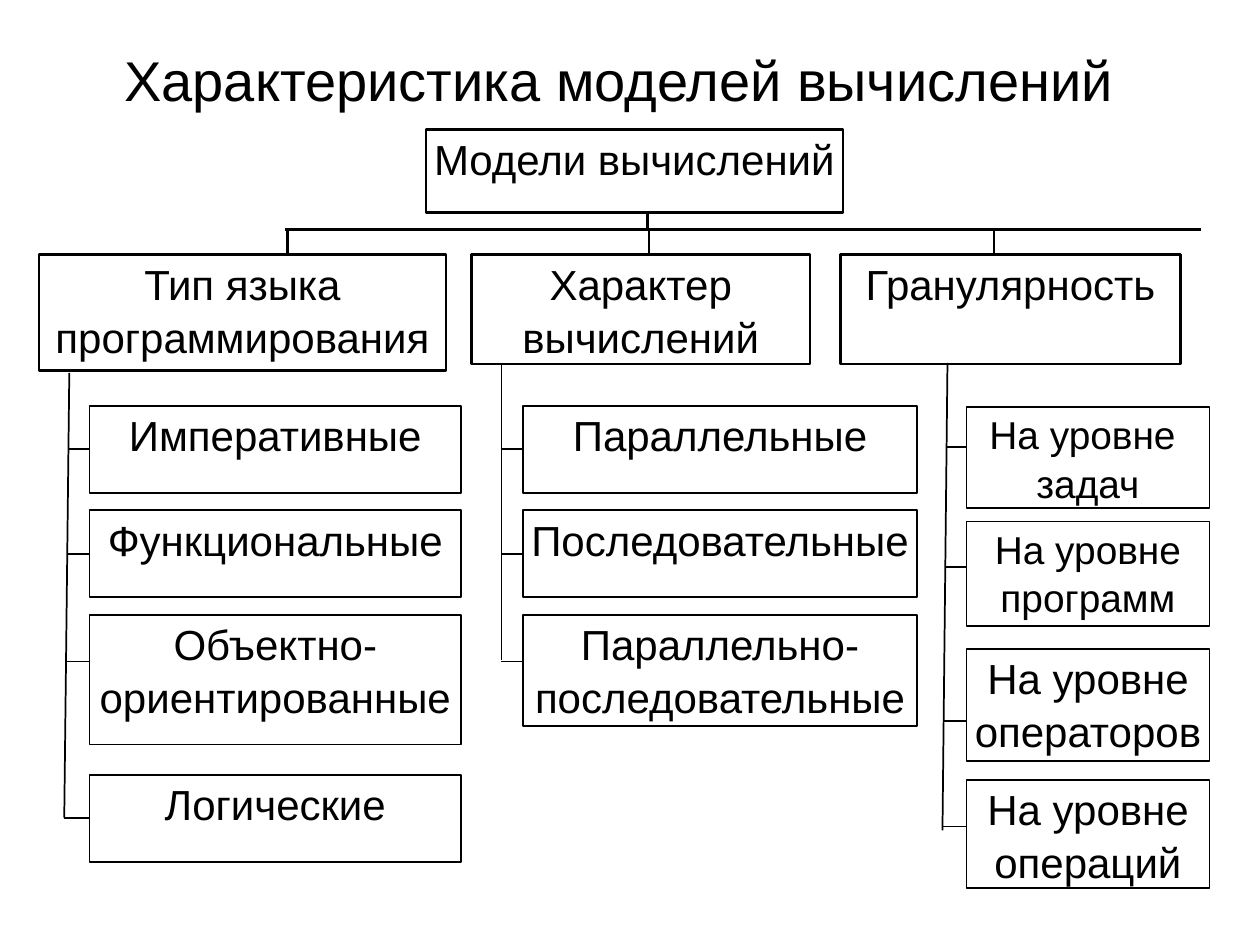
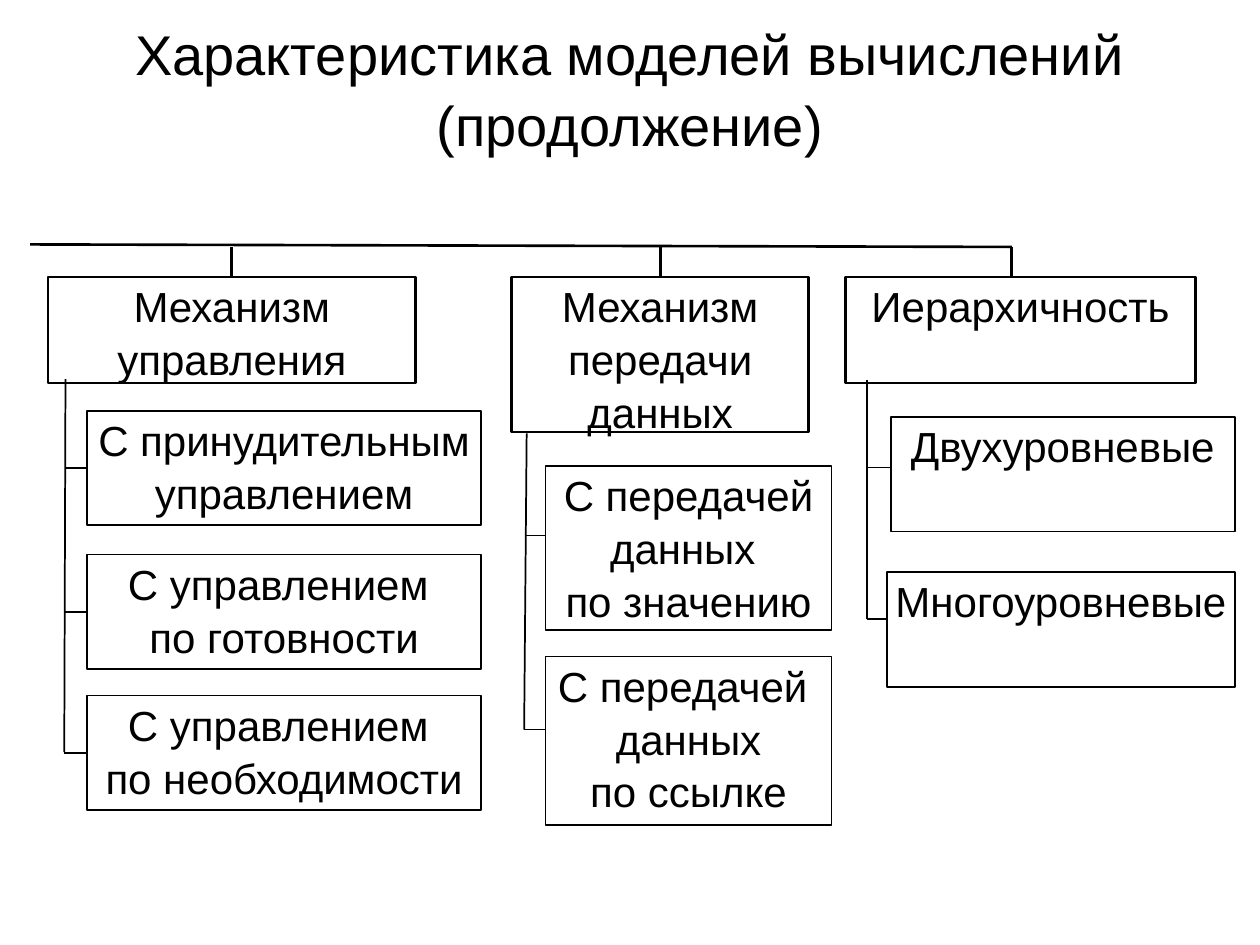
from typing import NamedTuple, Optional

from lxml.etree import SubElement
from pptx import Presentation
from pptx.dml.color import RGBColor
from pptx.enum.shapes import MSO_CONNECTOR as Connector, MSO_SHAPE as Shape
from pptx.enum.text import MSO_ANCHOR as Anchor, PP_ALIGN as Align
from pptx.oxml.ns import qn
from pptx.util import Inches, Pt

COLORS = {"ink": "000000", "paper": "FFFFFF"}
FONT = "Arial"
COLUMNS, ROWS = 100, 75
TOP, LEFT = 0, 1  # connection sites of a rectangle
HEAVY, THIN = 1.5, 1


class Header(NamedTuple):
    text: str
    left: float
    top: float
    width: float
    height: float
    drop: Optional[float] = None  # column of the line from the bar; None is the middle


class Leaf(NamedTuple):
    text: str
    top: float
    height: float
    tick: Optional[float] = None  # row of the line from the trunk; None is the middle
    size: float = 24
    indent: float = 0


class Branch(NamedTuple):
    header: Header
    trunk: tuple
    left: float
    width: float
    leaves: list


class Deck:
    def __init__(self):
        self.prs = Presentation()
        self.prs.slide_width, self.prs.slide_height = Inches(10), Inches(7.5)
        self.slide = None

    def x(self, column):
        return round(self.prs.slide_width * column / COLUMNS)

    def y(self, row):
        return round(self.prs.slide_height * row / ROWS)

    def area(self, left, top, width, height):
        return self.x(left), self.y(top), self.x(width), self.y(height)

    def new_slide(self):
        self.slide = self.prs.slides.add_slide(self.prs.slide_layouts[6])
        fill = self.slide.background.fill
        fill.solid()
        fill.fore_color.rgb = RGBColor.from_string(COLORS["paper"])

    def add_run(self, paragraph, text, size):
        run = paragraph.add_run()
        run.text = text
        run.font.size, run.font.name = Pt(size), FONT
        run.font.color.rgb = RGBColor.from_string(COLORS["ink"])

    def add_lines(self, frame, text, size):
        """Set each line of the text as a centred paragraph."""
        frame.word_wrap = True
        for number, line in enumerate(text.split("\n")):
            paragraph = frame.add_paragraph() if number else frame.paragraphs[0]
            paragraph.alignment = Align.CENTER
            paragraph.line_spacing = 1.05
            self.add_run(paragraph, line, size)

    def title(self, text, top, height, tail=""):
        """Add the heading; the tail is a larger run that ends its line."""
        frame = self.slide.shapes.add_textbox(*self.area(5, top, 90, height)).text_frame
        frame.vertical_anchor = Anchor.MIDDLE
        self.add_lines(frame, text, 32)
        if tail:
            self.add_run(frame.paragraphs[-1], tail, 44)

    def box(self, text, left, top, width, height, weight, size=24):
        box = self.slide.shapes.add_shape(
            Shape.RECTANGLE, *self.area(left, top, width, height))
        box.shadow.inherit = False
        box.fill.background()
        box.line.color.rgb = RGBColor.from_string(COLORS["ink"])
        box.line.width = Pt(weight)
        frame = box.text_frame
        frame.vertical_anchor = Anchor.TOP
        frame.margin_left = frame.margin_right = Inches(0.01)
        frame.margin_top = frame.margin_bottom = Inches(0.01)
        self.add_lines(frame, text, size)
        return box

    def line(self, x1, y1, x2, y2, weight):
        line = self.slide.shapes.add_connector(
            Connector.STRAIGHT, self.x(x1), self.y(y1), self.x(x2), self.y(y2))
        line.line.color.rgb = RGBColor.from_string(COLORS["ink"])
        line.line.width = Pt(weight)
        SubElement(line._element.spPr, qn("a:effectLst"))
        return line

    def branch(self, branch, bar_row):
        """Add a header hung from the bar, its trunk and its leaves."""
        text, left, top, width, height, drop = branch.header
        header = self.box(text, left, top, width, height, HEAVY)
        column = left + width / 2 if drop is None else drop
        drop_line = self.line(column, bar_row, column, top, HEAVY)
        if drop is None:
            drop_line.end_connect(header, TOP)

        x1, y1, x2, y2 = branch.trunk
        self.line(x1, y1, x2, y2, THIN)
        for leaf in branch.leaves:
            leaf_left = branch.left + leaf.indent
            box = self.box(leaf.text, leaf_left, leaf.top, branch.width - leaf.indent,
                           leaf.height, THIN, leaf.size)
            row = leaf.top + leaf.height / 2 if leaf.tick is None else leaf.tick
            start = x1 + (x2 - x1) * (row - y1) / (y2 - y1)
            tick_line = self.line(start, row, leaf_left, row, THIN)
            if leaf.tick is None:
                tick_line.end_connect(box, LEFT)


LANGUAGE_TYPE = Branch(
    Header("Тип языка программирования", 3.1, 20.2, 32.3, 9.2, 22.8),
    (5.5, 29.6, 5.1, 64.9), 7.1, 29.5, [
        Leaf("Императивные", 32.2, 6.9),
        Leaf("Функциональные", 40.5, 6.9),
        Leaf("Объектно-ориентированные", 48.8, 10.3, 52.5),
        Leaf("Логические", 61.5, 6.9),
    ])
COMPUTATION_KIND = Branch(
    Header("Характер вычислений", 37.4, 20.2, 26.9, 8.7, 51.5),
    (39.8, 28.8, 39.8, 52.4), 41.5, 31.3, [
        Leaf("Параллельные", 32.2, 6.9),
        Leaf("Последовательные", 40.5, 6.9),
        Leaf("Параллельно-\nпоследовательные", 48.8, 8.8, 52.5),
    ])
GRANULARITY = Branch(
    Header("Гранулярность", 66.7, 20.2, 27, 8.7, 78.9),
    (75.2, 28.8, 74.8, 65.9), 76.7, 19.3, [
        Leaf("На уровне \nзадач", 32.3, 8, 35.5, 22.2),
        Leaf("На уровне программ", 41.4, 8.3, 45, 22.2),
        Leaf("На уровне операторов", 51.5, 8.9, 57.2),
        Leaf("На уровне операций", 61.9, 8.6, 65.6),
    ])
CONTROL = Branch(
    Header("Механизм управления", 3.8, 22, 29.2, 8.4),
    (5.2, 30.1, 5.1, 59.7), 6.9, 31.3, [
        Leaf("С принудительным управлением", 32.6, 9.1),
        Leaf("С управлением \nпо готовности", 44, 9.1),
        Leaf("С управлением \nпо необходимости", 55.2, 9.1),
    ])
DATA_TRANSFER = Branch(
    Header("Механизм передачи данных", 40.6, 22, 23.6, 12.3),
    (41.8, 34.4, 41.6, 57.9), 43.3, 22.7, [
        Leaf("С передачей данных \nпо значению", 37, 13, 42.5),
        Leaf("С передачей \nданных\nпо ссылке", 52.1, 13.4, 57.9),
    ])
HIERARCHY = Branch(
    Header("Иерархичность", 67.1, 22, 27.8, 8.4, 80.3),
    (68.8, 30.2, 68.8, 49.1), 70.4, 27.6, [
        Leaf("Двухуровневые", 33.1, 9.1, 37.1, indent=0.3),
        Leaf("Многоуровневые", 45.4, 9.1, 49.1),
    ])


def main():
    deck = Deck()
    heading = "Характеристика моделей вычислений"

    deck.new_slide()
    deck.title(heading, 2.1, 6.7, tail=" ")
    deck.box("Модели вычислений", 33.8, 10.3, 33.1, 6.6, HEAVY)
    deck.line(51.4, 16.9, 51.4, 18.2, HEAVY)
    deck.line(22.6, 18.2, 95.3, 18.2, HEAVY)
    for branch in (LANGUAGE_TYPE, COMPUTATION_KIND, GRANULARITY):
        deck.branch(branch, 18.2)

    deck.new_slide()
    deck.title(heading + "\n(продолжение)", 3, 7.8)
    deck.line(2.4, 19.4, 80.3, 19.6, HEAVY)
    for branch in (CONTROL, DATA_TRANSFER, HIERARCHY):
        deck.branch(branch, 19.6)

    deck.prs.save("out.pptx")


if __name__ == "__main__":
    main()
